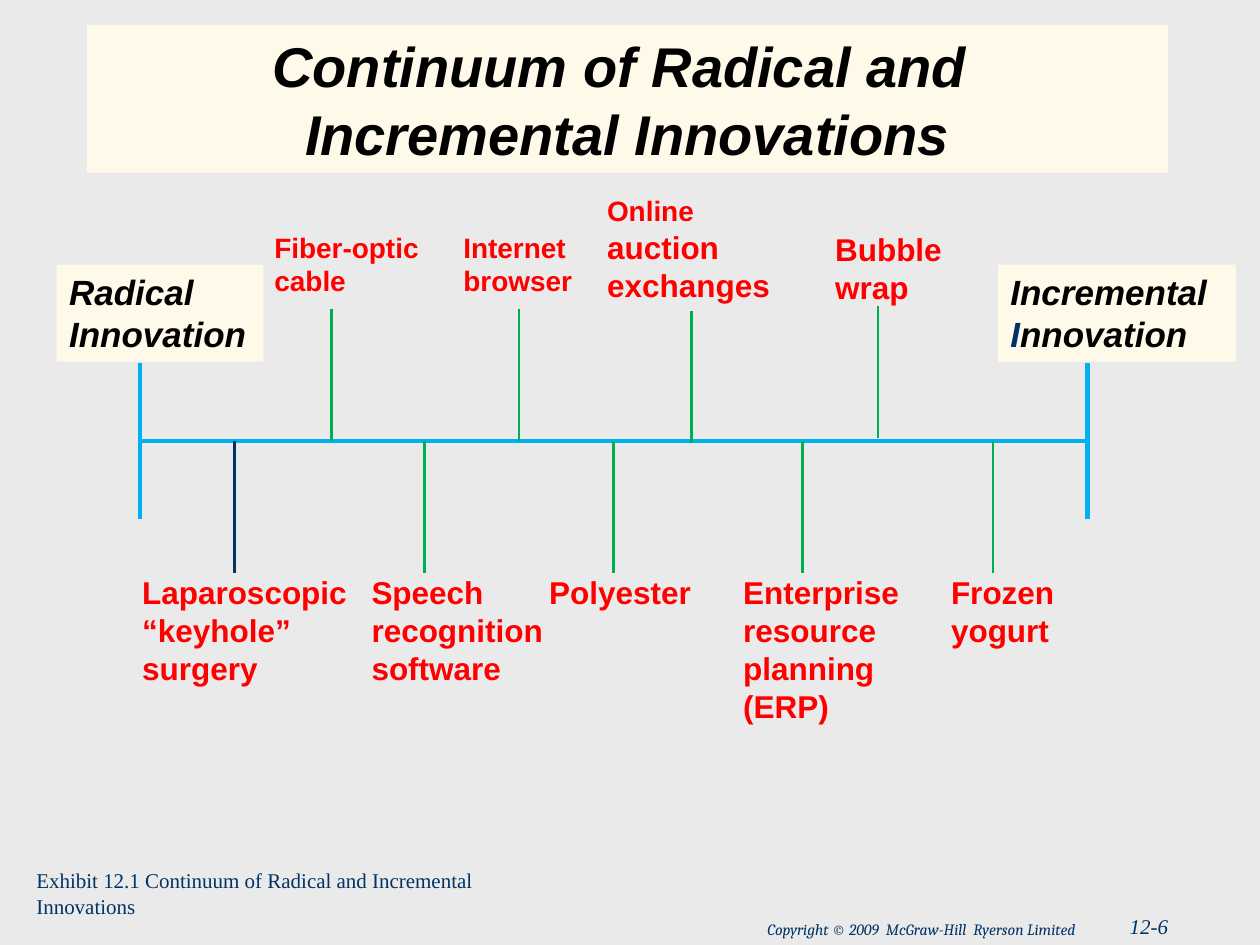
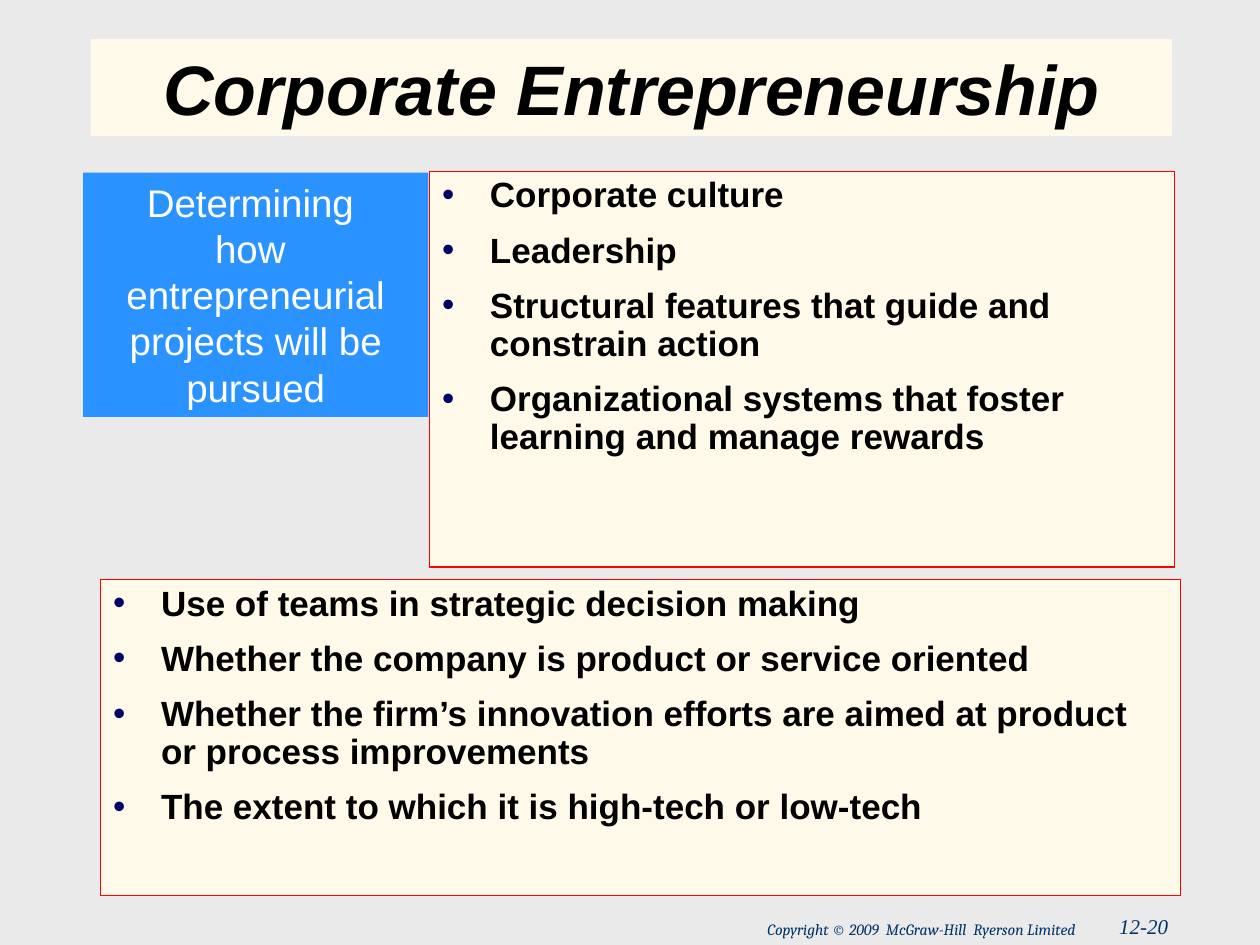
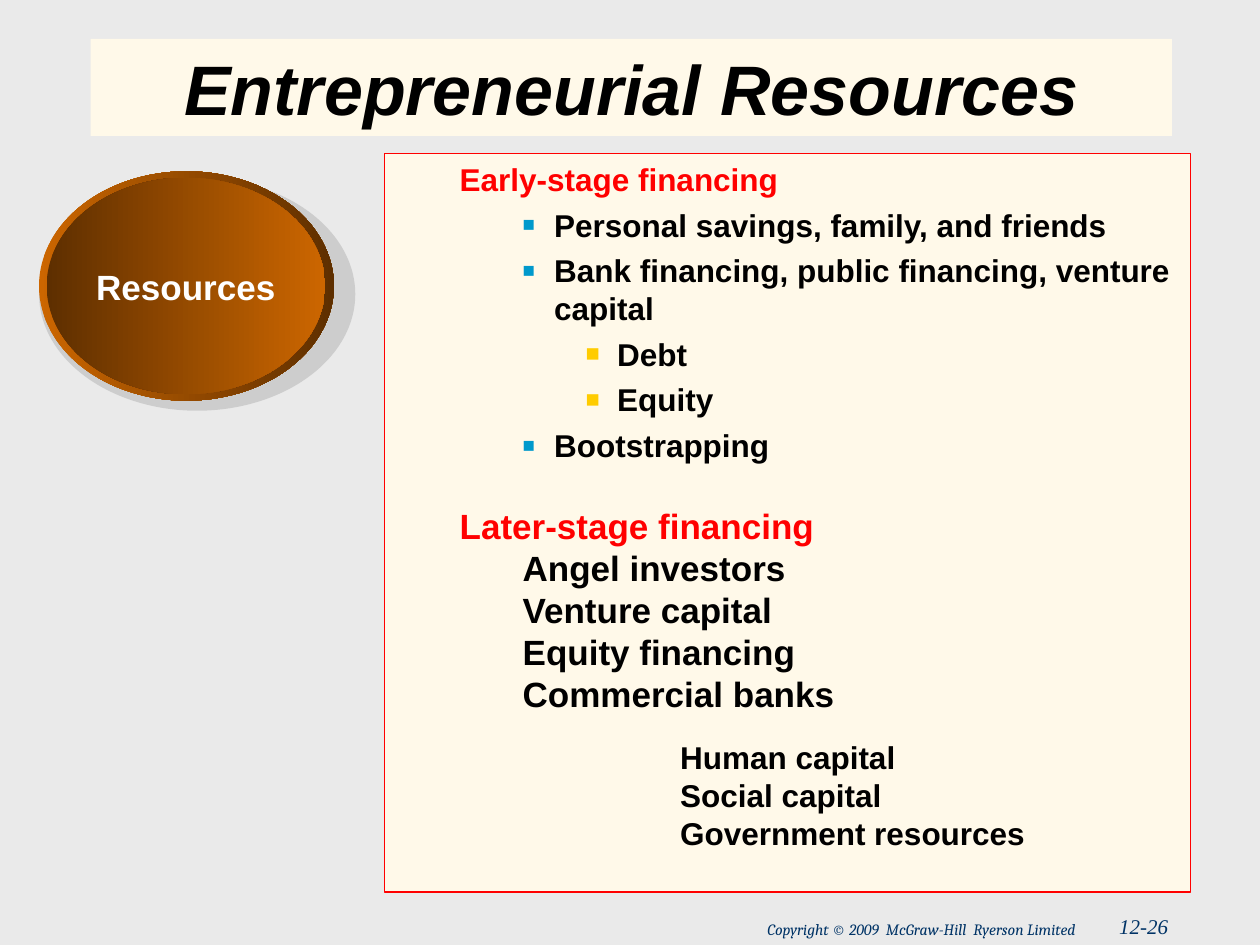
from lxml import etree
from pptx import Presentation
from pptx.dml.color import RGBColor
from pptx.enum.shapes import MSO_CONNECTOR, MSO_SHAPE
from pptx.enum.text import MSO_ANCHOR, PP_ALIGN
from pptx.oxml.ns import qn
from pptx.util import Inches, Pt

STRAIGHT = MSO_CONNECTOR.STRAIGHT
RECTANGLE, OVAL = MSO_SHAPE.RECTANGLE, MSO_SHAPE.OVAL
TOP, MIDDLE, BOTTOM = MSO_ANCHOR.TOP, MSO_ANCHOR.MIDDLE, MSO_ANCHOR.BOTTOM
LEFT, CENTER, RIGHT = PP_ALIGN.LEFT, PP_ALIGN.CENTER, PP_ALIGN.RIGHT

THEME = {
    "backdrop": "EAEAEA", "cream": "FFF9E9", "ink": "000000", "navy": "003366",
    "red": "FF0000", "green": "00B050", "axis": "00B0F0", "blue": "2B93FF",
    "white": "FFFFFF", "shadow": "B2B2B2", "amber": "CC6600", "brown": "5E2F00",
    "bullet": "000066", "teal": "0099CC", "gold": "FFCC00",
    "sans": "Arial", "serif": "Times New Roman", "footer": "Cambria",
    "title": 40, "long_title": 32, "question": 22, "body": 20, "item": 18,
    "small_item": 16, "note": 12, "copyright": 9,
}


def add_block(slide, box, paragraphs=(), kind=None, fill=None, border=None,
              anchor=TOP, wrap=True, **style):
    place = [Inches(value) for value in box]
    if kind is None:
        block = slide.shapes.add_textbox(*place)
    else:
        block = slide.shapes.add_shape(kind, *place)
        block.shadow.inherit = False
        if isinstance(fill, tuple):
            block.fill.gradient()
            block.fill.gradient_angle = 0
            for stop, color in zip(block.fill.gradient_stops, fill):
                stop.color.rgb = RGBColor.from_string(THEME[color])
        else:
            block.fill.solid()
            block.fill.fore_color.rgb = RGBColor.from_string(THEME[fill])
        if border:
            block.line.color.rgb = RGBColor.from_string(THEME[border])
            block.line.width = Pt(0.75)
        else:
            block.line.fill.background()
    frame = block.text_frame
    frame.word_wrap, frame.vertical_anchor = wrap, anchor
    for index, (text, changes) in enumerate(paragraphs):
        look = {"align": LEFT, "font": "sans", "size": "body", "color": "ink",
                "bold": False, "italic": False, **style, **changes}
        paragraph = frame.add_paragraph() if index else frame.paragraphs[0]
        layout = {"alignment": look["align"],
                  "line_spacing": look.get("line_spacing"),
                  "space_before": Pt(look.get("before", 0) if index else 0)}
        for name, value in layout.items():
            setattr(paragraph, name, value)
        properties = paragraph._p.get_or_add_pPr()
        properties.set("marL", str(Inches(look.get("margin", 0))))
        properties.set("indent", str(Inches(-look.get("hang", 0))))
        if "bullet" in look:
            symbol, color, percent = look["bullet"]
            tint = etree.SubElement(properties, qn("a:buClr"))
            etree.SubElement(tint, qn("a:srgbClr"), val=THEME[color])
            etree.SubElement(properties, qn("a:buSzPct"), val=str(percent * 1000))
            etree.SubElement(properties, qn("a:buFont"), typeface=THEME["sans"])
            etree.SubElement(properties, qn("a:buChar"), char=symbol)
        pieces = [(text, {})] if isinstance(text, str) else text
        for piece, piece_look in pieces:
            final = {**look, **piece_look}
            for row, line in enumerate(piece.split("\n")):
                if row:
                    paragraph.add_line_break()
                run = paragraph.add_run()
                run.text = line
                letters = {"name": THEME[final["font"]], "size": Pt(THEME[final["size"]]),
                           "bold": final["bold"], "italic": final["italic"]}
                for name, value in letters.items():
                    setattr(run.font, name, value)
                run.font.color.rgb = RGBColor.from_string(THEME[final["color"]])
    return block


def add_rule(slide, start, end, color, width):
    rule = slide.shapes.add_connector(
        STRAIGHT, *[Inches(value) for value in (*start, *end)])
    rule.line.color.rgb = RGBColor.from_string(THEME[color])
    rule.line.width = Pt(width)
    etree.SubElement(rule._element.spPr, qn("a:effectLst"))


deck = Presentation()
deck.slide_width, deck.slide_height = Inches(10), Inches(7.5)

pages = [
    ("Continuum of Radical and \nIncremental Innovations", "12-6",
     (0.69, 0.2, 8.58, 1.17), "long_title"),
    ("Corporate Entrepreneurship", "12-20", (0.72, 0.31, 8.58, 0.77), "title"),
    ("Entrepreneurial Resources", "12-26", (0.72, 0.31, 8.58, 0.77), "title"),
]
for title, number, title_box, title_size in pages:
    slide = deck.slides.add_slide(deck.slide_layouts[6])
    slide.background.fill.solid()
    slide.background.fill.fore_color.rgb = RGBColor.from_string(THEME["backdrop"])
    add_block(slide, (7.7, 7.2, 1.67, 0.3), [(number, {})], align=RIGHT,
              font="serif", size="note", color="navy", italic=True)
    add_block(slide, (4.08, 7.25, 4.58, 0.25),
              [("Copyright © 2009  McGraw-Hill  Ryerson Limited ", {})], align=RIGHT,
              font="footer", size="copyright", color="navy", italic=True)
    add_block(slide, title_box, [(title, {})], RECTANGLE, "cream", anchor=BOTTOM,
              align=CENTER, size=title_size, bold=True, italic=True)

continuum, culture, resources = deck.slides

axis_left, axis_right, axis_y = 1.11, 8.63, 3.5
for end_x in (axis_left, axis_right):
    add_rule(continuum, (end_x, 2.88), (end_x, 4.12), "axis", 2.5)
add_rule(continuum, (axis_left, axis_y), (axis_right, axis_y), "axis", 2.5)

extremes = [
    ("Radical Innovation", 0.45, 1.64),
    ([("Incremental", {}), (" I", {"color": "navy"}), ("nnovation", {})], 7.92, 1.89),
]
for label, left, width in extremes:
    add_block(continuum, (left, 2.1, width, 0.77), [(label, {})], RECTANGLE, "cream",
              bold=True, italic=True)

tick_length = 1.05
innovations = [
    ("Laparoscopic “keyhole” surgery", "item", 1.86, axis_y, "navy", (1.03, 4.5, 1.87, 1)),
    ("Speech recognition software", "item", 3.37, axis_y, "green", (2.85, 4.5, 1.65, 1)),
    ("Polyester", "item", 4.87, axis_y, "green", (4.26, 4.5, 1.36, 0.4)),
    ("Enterprise resource planning (ERP)", "item", 6.37, axis_y, "green",
     (5.8, 4.5, 1.54, 1.3)),
    ("Frozen yogurt", "item", 7.88, axis_y, "green", (7.45, 4.5, 1.1, 0.7)),
    ("Fiber-optic cable", "small_item", 2.63, 2.45, "green", (2.08, 1.78, 1.4, 0.64)),
    ("Internet browser", "small_item", 4.12, 2.45, "green", (3.58, 1.78, 1.13, 0.64)),
    ([("Online", {"size": "small_item"}), (" auction exchanges", {})], "item",
     5.49, 2.47, "green", (4.72, 1.46, 1.8, 1)),
    ("Bubble wrap", "item", 6.97, 2.43, "green", (6.53, 1.78, 1.17, 0.7)),
]
for label, size, tick_x, tick_top, tick_color, label_box in innovations:
    add_rule(continuum, (tick_x, tick_top), (tick_x, tick_top + tick_length),
             tick_color, 1.5)
    add_block(continuum, label_box, [(label, {})], size=size, color="red", bold=True)
add_block(continuum, (0.19, 6.84, 4.49, 0.3),
          [("Exhibit 12.1 Continuum of Radical and Incremental Innovations", {})],
          wrap=False, font="serif", size="note", color="navy")

factor_lists = [
    ((0.8, 4.6, 8.57, 2.51), [
        "Use of teams in strategic decision making",
        "Whether the company is product or service oriented",
        "Whether the firm’s innovation efforts are aimed at product or process improvements",
        "The extent to which it is high-tech or low-tech"]),
    ((3.41, 1.36, 5.91, 3.14), [
        "Corporate culture",
        "Leadership",
        "Structural features that guide and constrain action",
        "Organizational systems that foster learning and manage rewards"]),
]
add_block(culture, (0.66, 1.37, 2.74, 1.94),
          [(line, {}) for line in ("Determining ", "how ",
                                   "entrepreneurial projects will be pursued")],
          RECTANGLE, "blue", align=CENTER, size="question", color="white")
for factor_box, factors in factor_lists:
    add_block(culture, factor_box, [(factor, {}) for factor in factors], RECTANGLE,
              "cream", "red", bold=True, margin=0.38, hang=0.38, before=10,
              line_spacing=0.9, bullet=("•", "bullet", 100))

oval_shadow = add_block(resources, (0.31, 1.41, 2.51, 1.85), kind=OVAL, fill="shadow")
shadow_color = oval_shadow._element.spPr.find(".//" + qn("a:srgbClr"))
etree.SubElement(shadow_color, qn("a:alpha"), val="50000")
add_block(resources, (0.31, 1.36, 2.34, 1.82), kind=OVAL, fill=("amber", "brown"))
add_block(resources, (0.37, 1.41, 2.21, 1.72), [("Resources", {})], OVAL,
          ("brown", "amber"), anchor=MIDDLE, wrap=False, align=CENTER,
          color="white", bold=True)

heading = {"margin": 0.5, "color": "red"}
source = {"margin": 1.25, "hang": 0.25, "before": 4.5, "bullet": ("■", "teal", 65)}
detail = {"margin": 1.75, "hang": 0.25, "before": 4.5, "bullet": ("■", "gold", 75)}
later = {"margin": 1, "size": "body"}
other = {"margin": 2.25}
financing = [
    ("Early-stage financing", heading),
    ("Personal savings, family, and friends", source),
    ("Bank financing, public financing, venture capital", source),
    ("Debt", detail),
    ("Equity", detail),
    ("Bootstrapping", source),
    ("Later-stage financing", {**heading, "size": "body", "before": 23}),
    ("Angel investors", later),
    ("Venture capital", later),
    ("Equity financing", later),
    ("Commercial banks", later),
    ("Human capital", {**other, "before": 13.8}),
    ("Social capital", other),
    ("Government resources", other),
]
add_block(resources, (3.05, 1.22, 6.4, 5.86), financing, RECTANGLE, "cream", "red",
          size="item", bold=True)

deck.save("out.pptx")
